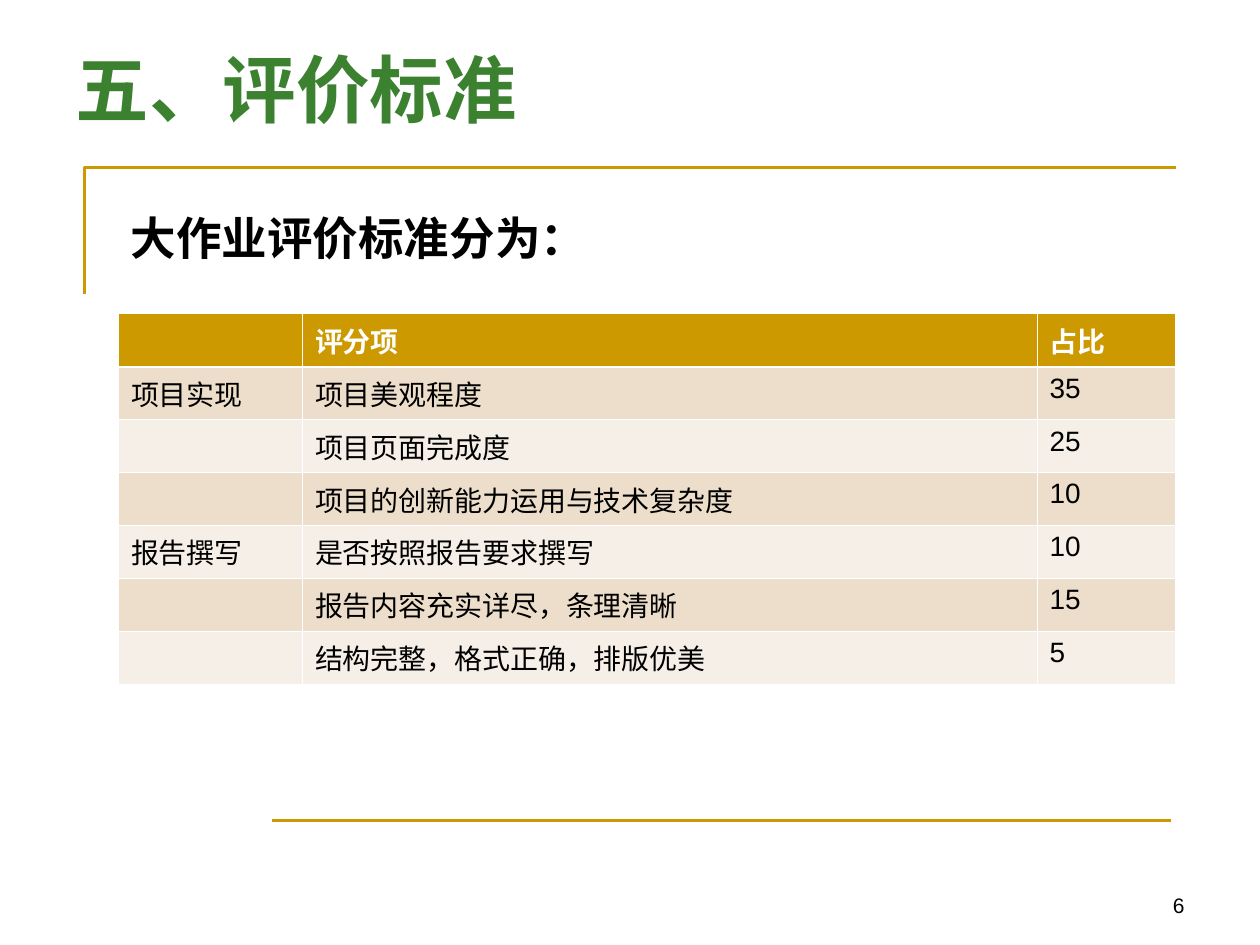
import pptx
import pptx.util
import pptx.dml.color
import pptx.enum.shapes
import pptx.enum.text
import pptx.oxml.ns
import lxml.etree

COLORS = {
    "gold": "CC9900",
    "green": "3B812F",
    "black": "000000",
    "white": "FFFFFF",
    "dark band": "ECDECB",
    "light band": "F6EFE7",
}
SCORES = [
    ("", "评分项", "占比"),
    ("项目实现", "项目美观程度", "35"),
    ("", "项目页面完成度", "25"),
    ("", "项目的创新能力运用与技术复杂度", "10"),
    ("报告撰写", "是否按照报告要求撰写", "10"),
    ("", "报告内容充实详尽，条理清晰", "15"),
    ("", "结构完整，格式正确，排版优美", "5"),
]
COLUMN_WIDTHS = [1.46, 5.83, 1.1]
ROW_HEIGHT = 0.42
LEFT, RIGHT = 0.94, 9.33

inches = pptx.util.Inches
rgb = pptx.dml.color.RGBColor.from_string


def write(text_frame, text, size, color, bold=False, font="Arial"):
    text_frame.text = text
    for paragraph in text_frame.paragraphs:
        paragraph.font.size = pptx.util.Pt(size)
        for run in paragraph.runs:
            run.font.name = font
            run.font.size = pptx.util.Pt(size)
            run.font.bold = bold
            run.font.color.rgb = rgb(COLORS[color])


def add_border(cell, side, width):
    """Draw a white line on one side (L, R, T or B) of a table cell."""
    qn = pptx.oxml.ns.qn
    properties = cell._tc.get_or_add_tcPr()
    line = lxml.etree.SubElement(properties, qn(f"a:ln{side}"), w=str(int(pptx.util.Pt(width))))
    fill = lxml.etree.SubElement(line, qn("a:solidFill"))
    lxml.etree.SubElement(fill, qn("a:srgbClr"), val=COLORS["white"])


presentation = pptx.Presentation()
presentation.slide_width = inches(10)
presentation.slide_height = inches(7.5)
slide = presentation.slides.add_slide(presentation.slide_layouts[5])
shapes = slide.shapes

# Title
title = shapes.title
title.left, title.top, title.width, title.height = map(inches, (0.5, 0.3, 9, 1.25))
title.text_frame.vertical_anchor = pptx.enum.text.MSO_ANCHOR.TOP
write(title.text_frame, "五、评价标准", 42, "green", True, "Times New Roman")
title.text_frame.paragraphs[0].alignment = pptx.enum.text.PP_ALIGN.LEFT

# Gold corner and footer rule
builder = shapes.build_freeform(inches(0.67), inches(2.33))
builder.add_line_segments([(inches(0.67), inches(1.33)), (inches(RIGHT), inches(1.33))], close=False)
corner = builder.convert_to_shape()
corner.shadow.inherit = False
corner.fill.background()
footer_rule = shapes.add_connector(
    pptx.enum.shapes.MSO_CONNECTOR.STRAIGHT, inches(2.16), inches(6.51), inches(9.29), inches(6.51))
lxml.etree.SubElement(footer_rule._element.spPr, pptx.oxml.ns.qn("a:effectLst"))
for shape, width in ((corner, 2), (footer_rule, 1.5)):
    shape.line.color.rgb = rgb(COLORS["gold"])
    shape.line.width = pptx.util.Pt(width)

# Lead sentence and page number
lead = shapes.add_textbox(inches(LEFT), inches(1.62), inches(8.11), inches(4.02))
lead.text_frame.word_wrap = True
write(lead.text_frame, "大作业评价标准分为：", 26, "black", True)

page_number = shapes.add_textbox(inches(7.17), inches(6.83), inches(2.33), inches(0.5))
page_number.text_frame.word_wrap = True
page_number.text_frame.vertical_anchor = pptx.enum.text.MSO_ANCHOR.BOTTOM
write(page_number.text_frame, "6", 12, "black")
page_number.text_frame.paragraphs[0].alignment = pptx.enum.text.PP_ALIGN.RIGHT

# Scoring table
table = shapes.add_table(
    len(SCORES), len(COLUMN_WIDTHS), inches(LEFT), inches(2.49),
    inches(sum(COLUMN_WIDTHS)), inches(ROW_HEIGHT * len(SCORES))).table
for column, width in zip(table.columns, COLUMN_WIDTHS):
    column.width = inches(width)
for row_index, texts in enumerate(SCORES):
    table.rows[row_index].height = inches(ROW_HEIGHT)
    is_header = row_index == 0
    band = "gold" if is_header else ("light band", "dark band")[row_index % 2]
    for column_index, text in enumerate(texts):
        cell = table.cell(row_index, column_index)
        for side in "LRTB":
            under_header = (row_index, side) in ((0, "B"), (1, "T"))
            add_border(cell, side, 1.47 if under_header else 0.45)
        cell.fill.solid()
        cell.fill.fore_color.rgb = rgb(COLORS[band])
        write(cell.text_frame, text, 16, "white" if is_header else "black", is_header)

presentation.save("out.pptx")
